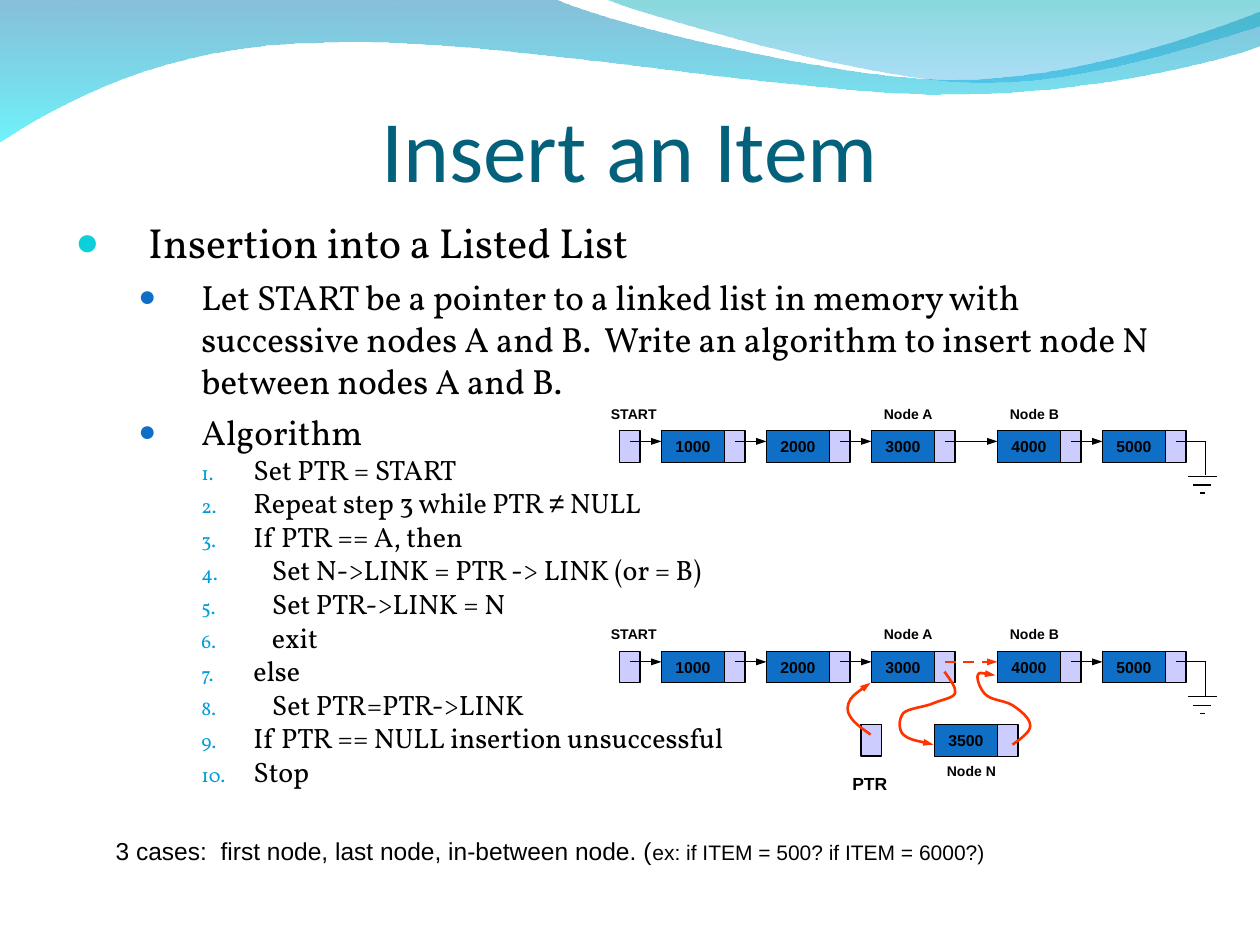
from dataclasses import dataclass
from itertools import pairwise
from typing import NamedTuple

from lxml.etree import SubElement
from pptx import Presentation
from pptx.dml.color import RGBColor
from pptx.enum.dml import MSO_LINE
from pptx.enum.shapes import MSO_CONNECTOR, MSO_SHAPE
from pptx.enum.text import MSO_ANCHOR, MSO_AUTO_SIZE, PP_ALIGN
from pptx.oxml.ns import qn
from pptx.util import Pt

COLORS = {
    "black": "000000", "title": "04617B", "node": "0F6FC6", "link": "CCCCFF",
    "red": "FF3300", "bullet 1": "0BD0D9", "bullet 2": "0F6FC6", "number": "009DD9",
    "wave top": "0079AF", "wave bottom": "00EBF8",
    "crest top": "00ADB6", "crest bottom": "009BE5",
}
NODE_WIDTH, LINK_WIDTH, CELL_HEIGHT = 36, 11.75, 18
START_LEFT = 354
NODES = {"1000": 378, "2000": 438, "3000": 498, "4000": 570, "5000": 630}


class Style(NamedTuple):
    size: float
    font: str = "Arial"
    bold: bool = False
    color: str = "black"


class Level(NamedTuple):
    style: Style
    margin: float
    hanging: float
    space_before: float
    color: str
    bullet_size: int
    number: bool = False


class Item(NamedTuple):
    level: int
    text: str
    extra_indent: float = 0


class Label(NamedTuple):
    text: str
    left: float
    top: float
    width: float
    height: float = 17.3
    size: float = 8


@dataclass
class Wave:
    start: tuple
    steps: list
    stops: list  # (colour name, opacity in percent)


LEVELS = [
    Level(Style(24, "Vollkorn"), 41.6, 41.6, 0, "bullet 1", 95),
    Level(Style(20, "Vollkorn"), 72, 36, 5, "bullet 2", 85),
    Level(Style(16, "Vollkorn"), 101.75, 29.75, 0, "number", 70, True),
]
ITEMS = [
    Item(0, "Insertion into a Listed List"),
    Item(1, "Let START be a pointer to a linked list in memory with successive nodes A and B.  "
            "Write an algorithm to insert node N between nodes A and B."),
    Item(1, "Algorithm"),
    Item(2, "Set PTR = START"),
    Item(2, "Repeat step 3 while PTR ≠ NULL"),
    Item(2, "If PTR == A, then"),
    Item(2, "Set N->LINK = PTR -> LINK (or = B)", 10.6),
    Item(2, "Set PTR->LINK = N", 10.6),
    Item(2, "exit", 10.6),
    Item(2, "else"),
    Item(2, "Set PTR=PTR->LINK", 10.6),
    Item(2, "If PTR == NULL insertion unsuccessful"),
    Item(2, "Stop"),
]
WAVES = [
    Wave((0, -0.7), [(316.8, -0.7), (342.7, 12.2, 478.1, 45.4, 545.8, 45.4),
                     (614.2, 45.4, 689.8, 18.7, 720, 6.5), (720.7, 25.9),
                     (707.8, 31.7, 626.4, 54.7, 537.1, 54), (447.8, 54, 275, 20.2, 185, 24.5),
                     (92.9, 25.2, 33.1, 59.8, -0.7, 81.4)],
         [("wave top", 47), ("wave bottom", 57)]),
    Wave((344.9, -0.7), [(366.5, 7.9, 491, 44.6, 553.7, 46.8),
                         (616.3, 49.7, 691.9, 23, 720, 15.1), (720, 0)],
         [("crest top", 47), ("crest bottom", 32)]),
]
POINTER_CURVES = [
    ((497.5, 419.8), [(492.5, 416.2, 488.2, 413.3, 486, 409.7),
                      (483.8, 406.8, 483.8, 403.2, 486, 399.6),
                      (488.2, 396.7, 495.4, 391.7, 497.5, 390.2)]),
    ((539.7, 383.8), [(543.3, 388.8, 546.5, 393.1, 545.8, 396),
                      (545, 398.9, 538.6, 399.6, 533.5, 401.8),
                      (529.2, 403.9, 519.1, 404.6, 516.2, 407.5),
                      (513.4, 411.1, 513.4, 416.9, 516.2, 419.8),
                      (519.1, 422.6, 530.6, 424.8, 533.5, 425.5)]),
    ((578.6, 425.5), [(583.6, 421.9, 588.7, 418.3, 588.7, 414.7),
                      (588.7, 410.4, 583.2, 406.1, 578.9, 403.2),
                      (574.6, 400.3, 567.4, 400.3, 563.8, 397.4),
                      (560.2, 394.6, 558, 388.1, 558.7, 385.9),
                      (559.4, 383.8, 564.5, 385.2, 568.8, 385.9)]),
]


def rgb(name: str) -> RGBColor:
    return RGBColor.from_string(COLORS[name])


def add_run(paragraph, text: str, style: Style) -> None:
    run = paragraph.add_run()
    run.text = text
    values = {"size": Pt(style.size), "name": style.font, "bold": style.bold}
    for name, value in values.items():
        setattr(run.font, name, value)
    run.font.color.rgb = rgb(style.color)


def add_text_box(slide, left, top, width, height, wrap=False):
    frame = slide.shapes.add_textbox(Pt(left), Pt(top), Pt(width), Pt(height)).text_frame
    frame.word_wrap = wrap
    frame.auto_size = MSO_AUTO_SIZE.NONE if wrap else MSO_AUTO_SIZE.SHAPE_TO_FIT_TEXT
    return frame


def add_label(slide, label: Label) -> None:
    frame = add_text_box(slide, label.left, label.top, label.width, label.height)
    add_run(frame.paragraphs[0], label.text, Style(label.size, bold=True))


def style_line(line, color: str, width: float, arrow: bool) -> None:
    line.color.rgb = rgb(color)
    line.width = Pt(width)
    if arrow:
        SubElement(line._get_or_add_ln(), qn("a:tailEnd"), type="triangle", w="sm", len="med")


def add_line(slide, x1, y1, x2, y2, color="black", width=0.75, arrow=False, dashed=False) -> None:
    connector = slide.shapes.add_connector(MSO_CONNECTOR.STRAIGHT, Pt(x1), Pt(y1), Pt(x2), Pt(y2))
    if dashed:
        connector.line.dash_style = MSO_LINE.DASH
    style_line(connector.line, color, width, arrow)
    SubElement(connector._element.spPr, qn("a:effectLst"))


def add_cell(slide, left, top, width, color: str, text: str = "") -> None:
    shape = slide.shapes.add_shape(MSO_SHAPE.RECTANGLE, Pt(left), Pt(top), Pt(width), Pt(CELL_HEIGHT))
    shape.shadow.inherit = False
    shape.fill.solid()
    shape.fill.fore_color.rgb = rgb(color)
    style_line(shape.line, "black", 0.75, False)
    if text:
        shape.text_frame.vertical_anchor = MSO_ANCHOR.MIDDLE
        paragraph = shape.text_frame.paragraphs[0]
        paragraph.alignment = PP_ALIGN.CENTER
        add_run(paragraph, text, Style(9, bold=True))


def add_node(slide, left, top, text: str) -> None:
    add_cell(slide, left, top, NODE_WIDTH, "node", text)
    add_cell(slide, left + NODE_WIDTH, top, LINK_WIDTH, "link")


def add_outline(slide, start: tuple, steps: list, close: bool):
    """Draw two-number steps as lines and six-number steps as cubic curves."""
    points = [(Pt(x), Pt(y)) for step in steps for x, y in zip(step[::2], step[1::2])]
    builder = slide.shapes.build_freeform(Pt(start[0]), Pt(start[1]))
    builder.add_line_segments(points, close=close)
    shape = builder.convert_to_shape()
    shape.shadow.inherit = False
    segments = iter(list(shape._element.spPr.iter(qn("a:lnTo"))))
    for step in steps:
        first = next(segments)
        if len(step) == 6:
            first.tag = qn("a:cubicBezTo")
            for other in (next(segments), next(segments)):
                first.append(other[0])
                other.getparent().remove(other)
    return shape


def add_wave(slide, wave: Wave) -> None:
    shape = add_outline(slide, wave.start, wave.steps, True)
    shape.line.fill.background()
    shape.fill.gradient()
    shape.fill.gradient_angle = 270
    for stop, (color, _) in zip(shape.fill.gradient_stops, wave.stops):
        stop.color.rgb = rgb(color)
    for element, (_, opacity) in zip(shape._element.spPr.iter(qn("a:srgbClr")), wave.stops):
        SubElement(element, qn("a:alpha"), val=str(opacity * 1000))


def add_item(paragraph, item: Item) -> None:
    level = LEVELS[item.level]
    paragraph.level = item.level
    paragraph.space_before = Pt(level.space_before)
    properties = paragraph._p.get_or_add_pPr()
    properties.set("marL", str(Pt(level.margin + item.extra_indent)))
    properties.set("indent", str(-Pt(level.hanging + item.extra_indent)))
    SubElement(SubElement(properties, qn("a:buClr")), qn("a:srgbClr"), val=COLORS[level.color])
    SubElement(properties, qn("a:buSzPct"), val=str(level.bullet_size * 1000))
    if level.number:
        SubElement(properties, qn("a:buAutoNum"), type="arabicPeriod")
    else:
        SubElement(properties, qn("a:buFont"), typeface="Arial")
        SubElement(properties, qn("a:buChar"), char="●")
    before, sign, after = item.text.partition("≠")
    for text, style in ((before, level.style), (sign, Style(level.style.size)), (after, level.style)):
        if text:
            add_run(paragraph, text, style)


def add_linked_list(slide, top: float, broken_link: bool) -> None:
    """Draw the list from START to ground; a broken link from A to B is red and dashed."""
    arrow_y = top + 6
    add_cell(slide, START_LEFT, top, LINK_WIDTH, "link")
    for text, left in NODES.items():
        add_node(slide, left, top, text)
    for left, target in pairwise([START_LEFT - NODE_WIDTH, *NODES.values()]):
        red = {"color": "red", "width": 1.5, "dashed": True}
        options = red if broken_link and left == NODES["3000"] else {}
        add_line(slide, left + NODE_WIDTH + 6, arrow_y, target, arrow_y, arrow=True, **options)
    for x1, y1, x2, y2 in ((672, 6, 689, 6), (689, 6, 689, 25.5), (679, 26, 695.5, 26),
                           (682, 31, 692, 31), (685.5, 35.5, 688.5, 35.5)):
        add_line(slide, x1, top + y1, x2, top + y2)
    for text, left, width in (("START", 342, 41), ("Node A", 498, 42.5), ("Node B", 570, 42.5)):
        add_label(slide, Label(text, left, top - 18, width))


def main() -> None:
    presentation = Presentation()
    presentation.slide_width, presentation.slide_height = Pt(720), Pt(540)
    slide = presentation.slides.add_slide(presentation.slide_layouts[6])
    for wave in WAVES:
        add_wave(slide, wave)

    title = add_text_box(slide, 36, 30.2, 648, 84.2, wrap=True)
    margins = {"margin_left": 0, "margin_top": Pt(3.6), "margin_right": 0, "margin_bottom": 0}
    for name, value in {**margins, "vertical_anchor": MSO_ANCHOR.BOTTOM}.items():
        setattr(title, name, value)
    title.paragraphs[0].alignment = PP_ALIGN.CENTER
    add_run(title.paragraphs[0], "Insert an Item", Style(50, "Calibri", color="title"))

    body = add_text_box(slide, 36, 120, 648, 378, wrap=True)
    for index, item in enumerate(ITEMS):
        add_item(body.add_paragraph() if index else body.paragraphs[0], item)

    add_linked_list(slide, 246.2, broken_link=False)
    add_linked_list(slide, 372.2, broken_link=True)
    add_cell(slide, 492, 414, LINK_WIDTH, "link")
    add_label(slide, Label("PTR", 480, 438, 36, 19.4, 10))
    add_node(slide, 534, 414.2, "3500")
    add_label(slide, Label("Node N", 534, 432, 42.5))
    for start, steps in POINTER_CURVES:
        curve = add_outline(slide, start, steps, False)
        curve.fill.background()
        style_line(curve.line, "red", 1.5, True)

    cases = add_text_box(slide, 59, 474, 511, 24.5).paragraphs[0]
    add_run(cases, "3 cases:  first node, last node, in-between node. (", Style(14))
    add_run(cases, "ex: if ITEM = 500? if ITEM = 6000?)", Style(12))
    presentation.save("out.pptx")


if __name__ == "__main__":
    main()
